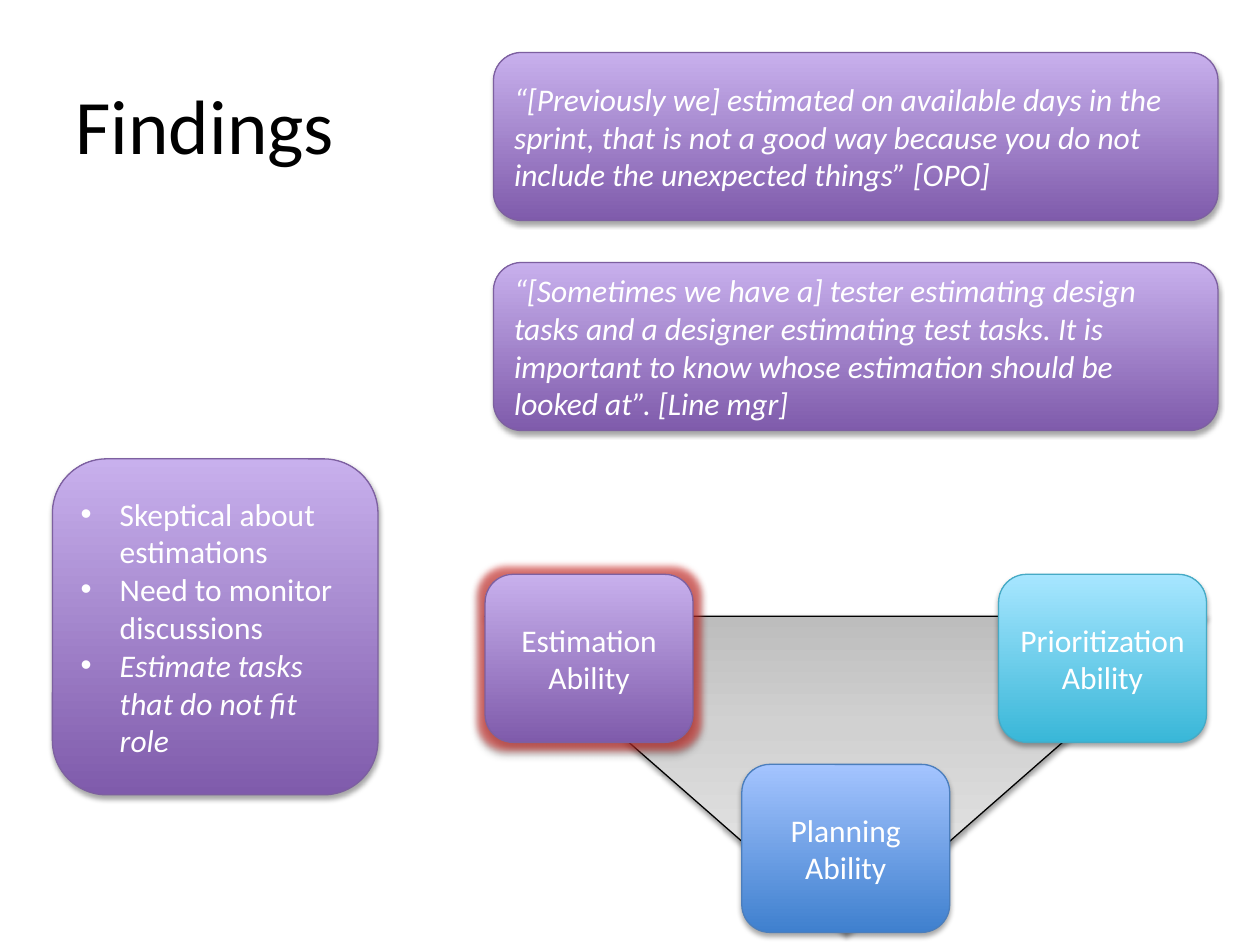
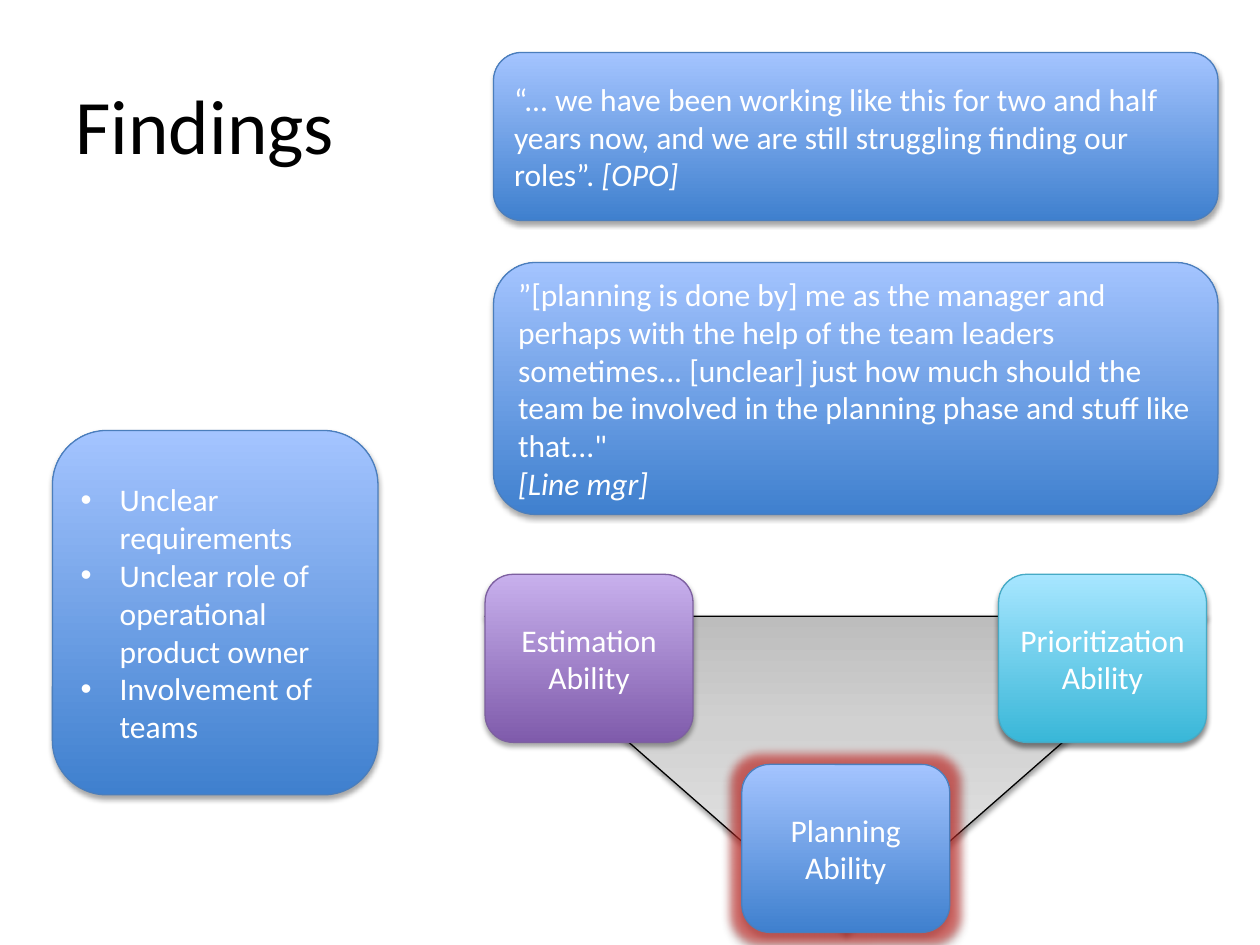
from collections import namedtuple

from lxml.etree import SubElement
from pptx import Presentation
from pptx.dml.color import RGBColor
from pptx.enum.shapes import MSO_SHAPE
from pptx.enum.text import MSO_ANCHOR, PP_ALIGN
from pptx.oxml.ns import qn
from pptx.util import Inches, Pt

# Page grid: one unit is 1/12 inch, so 120 columns by 90 rows
UNIT = Inches(1) / 12
COLUMNS, ROWS = 120, 90
FONT = "Calibri"

BLACK = RGBColor(0x00, 0x00, 0x00)
WHITE = RGBColor(0xFF, 0xFF, 0xFF)
GLOW_RED = RGBColor(0xD8, 0x31, 0x2D)

Box = namedtuple("Box", "left top width height")
Theme = namedtuple("Theme", "stops outline")
Shadow = namedtuple("Shadow", "alpha blur distance")

PURPLE = Theme([(0, RGBColor(0x7F, 0x5B, 0xAB)), (100, RGBColor(0xC8, 0xB0, 0xED))],
               RGBColor(0x7D, 0x60, 0xA0))
BLUE = Theme([(0, RGBColor(0x3F, 0x80, 0xCE)), (100, RGBColor(0xA4, 0xC4, 0xFF))],
             RGBColor(0x4B, 0x7E, 0xBC))
CYAN = Theme([(0, RGBColor(0x39, 0xB7, 0xD8)), (100, RGBColor(0xA7, 0xE6, 0xFF))],
             RGBColor(0x46, 0xAA, 0xC5))
GREY = Theme([(0, RGBColor(0xBD, 0xBD, 0xBD)), (35, RGBColor(0xD1, 0xD1, 0xD1)),
              (100, RGBColor(0xEE, 0xEE, 0xEE))], BLACK)

CARD_SHADOW = Shadow(35, 3.1, 1.8)
RAISED_SHADOW = Shadow(45, 3, 2.4)
TRIANGLE_SHADOW = Shadow(38, 3.1, 1.6)

# Regions shared by the slides
TITLE_BOX = Box(6, 6.1, 108, 11.3)
MODEL_BOX = Box(46.2, 54.7, 68.7, 34.1)
NODE_WIDTH, NODE_HEIGHT = 19.8, 16
QUOTE_LEFT, QUOTE_TOP, QUOTE_WIDTH, QUOTE_PITCH = 47, 5, 69, 20
POINTS_LEFT, POINTS_WIDTH, POINTS_BOTTOM = 5, 31, 75.7


def place(box):
    return [round(length * UNIT) for length in box]


def add_color(parent, tag, color, alpha):
    """Append an effect colour with its opacity in percent."""
    srgb = SubElement(parent, qn(tag), val=str(color))
    SubElement(srgb, qn("a:alpha"), val=str(alpha * 1000))


def add_card(slide, kind, box, theme, shadow, glow=None):
    """Add a shape with an upward gradient, thin outline, shadow and optional glow."""
    card = slide.shapes.add_shape(kind, *place(box))
    card.fill.gradient()
    card.fill.gradient_angle = 90
    properties = card.fill._xPr
    stop_list = properties.find(qn("a:gradFill")).find(qn("a:gsLst"))
    for stop in list(stop_list):
        stop_list.remove(stop)
    for position, color in theme.stops:
        stop = SubElement(stop_list, qn("a:gs"), pos=str(position * 1000))
        SubElement(stop, qn("a:srgbClr"), val=str(color))
    card.line.color.rgb = theme.outline
    card.line.width = Pt(0.75)

    card.shadow.inherit = False
    effects = properties.find(qn("a:effectLst"))
    if glow:
        halo = SubElement(effects, qn("a:glow"), rad=str(Pt(glow)))
        add_color(halo, "a:srgbClr", GLOW_RED, 60)
    drop = SubElement(effects, qn("a:outerShdw"), blurRad=str(Pt(shadow.blur)),
                      dist=str(Pt(shadow.distance)), dir="5400000", rotWithShape="0")
    add_color(drop, "a:srgbClr", BLACK, shadow.alpha)
    return card


def write(card, paragraphs, align=PP_ALIGN.LEFT, bulleted=False):
    """Fill a card; each paragraph is a list of (text, italic) runs."""
    frame = card.text_frame
    frame.word_wrap = True
    frame.vertical_anchor = MSO_ANCHOR.MIDDLE
    for index, runs in enumerate(paragraphs):
        paragraph = frame.add_paragraph() if index else frame.paragraphs[0]
        paragraph.alignment = align
        if bulleted:
            layout = paragraph._p.get_or_add_pPr()
            layout.set("marL", str(Inches(0.31)))
            layout.set("indent", str(-Inches(0.31)))
            SubElement(layout, qn("a:buFont"), typeface="Arial")
            SubElement(layout, qn("a:buChar"), char="•")
        for text, italic in runs:
            run = paragraph.add_run()
            run.text = text
            style = {"name": FONT, "size": Pt(18), "italic": italic}
            for key, value in style.items():
                setattr(run.font, key, value)
            run.font.color.rgb = WHITE


def add_title(slide, box, text):
    title = slide.shapes.title
    for key, value in zip(Box._fields, place(box)):
        setattr(title, key, value)
    title.text_frame.text = text
    title.text_frame.vertical_anchor = MSO_ANCHOR.MIDDLE
    heading = title.text_frame.paragraphs[0]
    heading.alignment = PP_ALIGN.LEFT
    for key, value in {"name": FONT, "size": Pt(44)}.items():
        setattr(heading.font, key, value)
    heading.font.color.rgb = BLACK


def add_ability_model(slide, box, glows, raised):
    """Inverted triangle with an ability at each corner."""
    drop = 4
    triangle = add_card(slide, MSO_SHAPE.ISOSCELES_TRIANGLE,
                        Box(box.left, box.top + drop, box.width, box.height - drop),
                        GREY, TRIANGLE_SHADOW)
    triangle.fill._xPr.find(qn("a:xfrm")).set("flipV", "1")

    free_width, free_height = box.width - NODE_WIDTH, box.height - NODE_HEIGHT
    abilities = [("Planning", BLUE, 0.5, 1), ("Prioritization", CYAN, 1, 0),
                 ("Estimation", PURPLE, 0, 0)]
    for ability, theme, across, down in abilities:
        node_box = Box(box.left + across * free_width, box.top + down * free_height,
                       NODE_WIDTH, NODE_HEIGHT)
        shadow = RAISED_SHADOW if ability in raised else CARD_SHADOW
        node = add_card(slide, MSO_SHAPE.ROUNDED_RECTANGLE, node_box, theme, shadow,
                        glows.get(ability))
        write(node, [[(f"{ability} Ability", False)]], PP_ALIGN.CENTER)


def add_quotes(slide, theme, quotes):
    """Quote cards at an equal pitch; each has its own height in rows."""
    for index, (height, paragraphs) in enumerate(quotes):
        box = Box(QUOTE_LEFT, QUOTE_TOP + index * QUOTE_PITCH, QUOTE_WIDTH, height)
        write(add_card(slide, MSO_SHAPE.ROUNDED_RECTANGLE, box, theme, CARD_SHADOW),
              paragraphs)


def add_points(slide, theme, height, points):
    """Bulleted card standing on the common lower edge."""
    box = Box(POINTS_LEFT, POINTS_BOTTOM - height, POINTS_WIDTH, height)
    write(add_card(slide, MSO_SHAPE.ROUNDED_RECTANGLE, box, theme, CARD_SHADOW),
          [[point] for point in points], bulleted=True)


def add_findings(deck, theme, glows, raised, quotes, points_height, points):
    slide = deck.slides.add_slide(deck.slide_layouts.get_by_name("Title Only"))
    add_title(slide, TITLE_BOX, "Findings")
    add_ability_model(slide, MODEL_BOX, glows, raised)
    add_quotes(slide, theme, quotes)
    add_points(slide, theme, points_height, points)


FINDINGS = [
    # Estimation
    dict(
        theme=PURPLE, glows={"Estimation": 8}, raised={"Estimation"},
        quotes=[
            (16, [[("“[Previously we] estimated on available days in the sprint, that is "
                    "not a good way because you do not include the unexpected things” "
                    "[OPO]", True)]]),
            (16, [[("“[Sometimes we have a] tester estimating design tasks and a designer "
                    "estimating test tasks. It is important to know whose estimation "
                    "should be looked at”. [Line mgr]", True)]]),
        ],
        points_height=32,
        points=[("Skeptical about estimations", False),
                ("Need to monitor discussions", False),
                ("Estimate tasks that do not fit role", True)],
    ),
    # Planning
    dict(
        theme=BLUE, glows={"Planning": 11}, raised={"Planning", "Prioritization"},
        quotes=[
            (16, [[("“... we have been working like this for two and half years now, and "
                    "we are still struggling finding our roles”. ", False),
                   ("[OPO]", True)]]),
            (24, [[("”[planning is done by] me as the manager and perhaps with the help of "
                    "the team leaders sometimes... [unclear] just how much should the team "
                    "be involved in the planning phase and stuff like that...\"", False)],
                  [("[Line mgr]", True)]]),
        ],
        points_height=34.7,
        points=[("Unclear requirements", False),
                ("Unclear role of operational product owner", False),
                ("Involvement of teams", False)],
    ),
]


def main():
    deck = Presentation()
    deck.slide_width, deck.slide_height = round(COLUMNS * UNIT), round(ROWS * UNIT)
    for finding in FINDINGS:
        add_findings(deck, **finding)
    deck.save("out.pptx")


if __name__ == "__main__":
    main()
